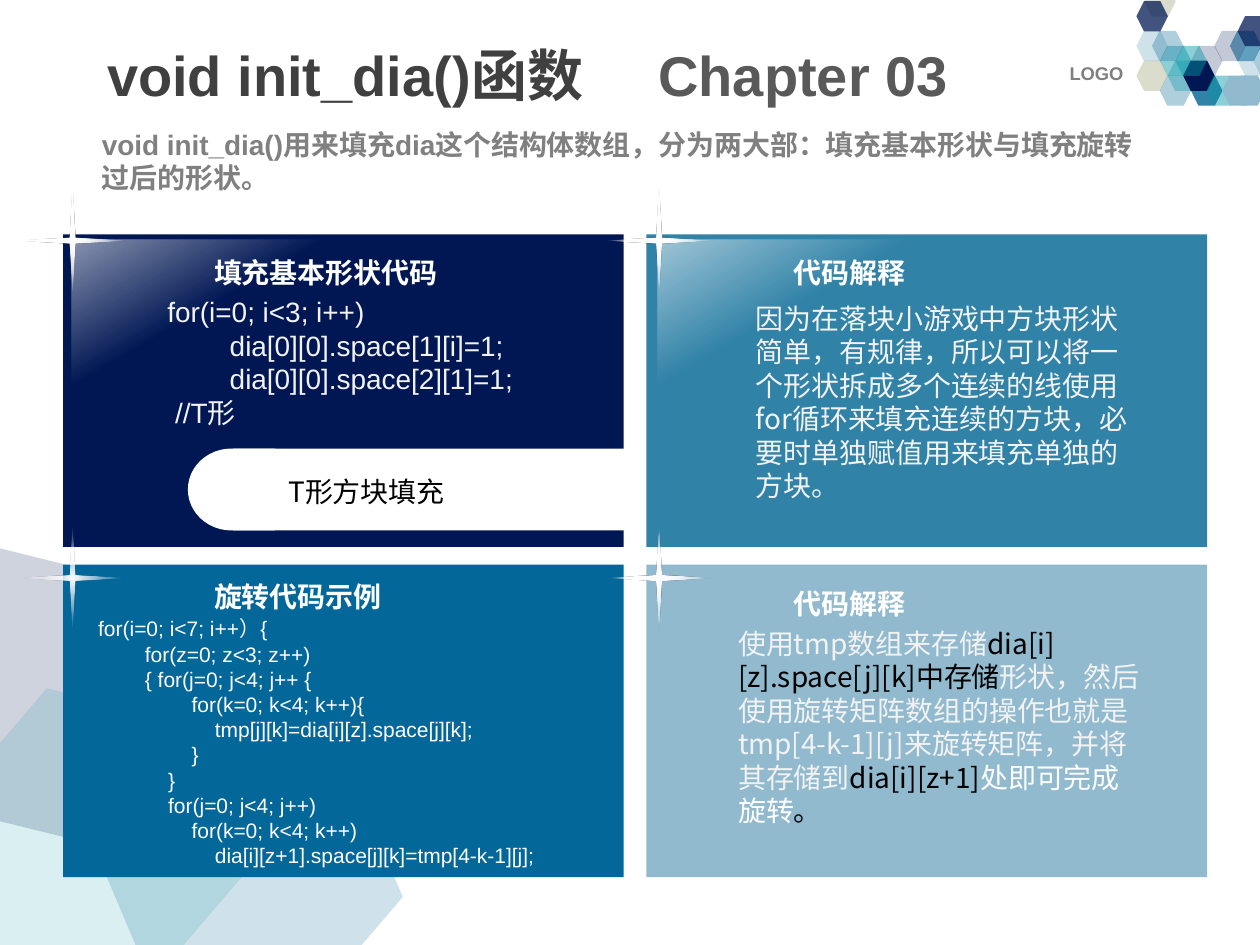
from itertools import product

from lxml import etree
from pptx import Presentation
from pptx.dml.color import RGBColor
from pptx.enum.shapes import MSO_SHAPE
from pptx.enum.text import MSO_ANCHOR, MSO_AUTO_SIZE, PP_ALIGN
from pptx.oxml import parse_xml
from pptx.oxml.ns import nsdecls, qn
from pptx.util import Pt

HEXAGON, RECT = MSO_SHAPE.HEXAGON, MSO_SHAPE.RECTANGLE
STAR, DELAY = MSO_SHAPE.STAR_4_POINT, MSO_SHAPE.FLOWCHART_DELAY
LATIN, CJK = "Arial", "Noto Sans CJK SC"

WHITE = RGBColor(0xFF, 0xFF, 0xFF)
BLACK = RGBColor(0, 0, 0)
PALE = RGBColor(0xF2, 0xF2, 0xF2)
GRAY = RGBColor(0x80, 0x80, 0x80)
DARK = RGBColor(0x40, 0x40, 0x40)
MID = RGBColor(0x59, 0x59, 0x59)
NAVY = RGBColor(0x00, 0x17, 0x53)
BLUE = RGBColor(0x03, 0x67, 0x99)
STEEL = RGBColor(0x30, 0x82, 0xA7)
SKY = RGBColor(0x91, 0xBA, 0xCE)
TEAL = RGBColor(0x07, 0x97, 0xA6)
OLIVE = RGBColor(0xAF, 0xB5, 0x91)

# Corner honeycomb: column, row, colour, opacity in percent
HONEYCOMB = [
    (3, 5, STEEL, 38), (3, 3, TEAL, 46), (7, 5, STEEL, 100), (7, 3, NAVY, 23),
    (4, 4, TEAL, 34), (6, 4, NAVY, 100), (9, 5, TEAL, 46), (12.5, 5, SKY, 100),
    (11, 5, SKY, 100), (13, 3, STEEL, 23), (15, 3, STEEL, 23), (12, 2, BLUE, 54),
    (13, 1, NAVY, 74), (10, 2, NAVY, 23), (5, 3, TEAL, 46), (2, 2, STEEL, 38),
    (1, -1, OLIVE, 46), (0, 4, OLIVE, 46), (0, 2, STEEL, 23), (0, 0, NAVY, 74),
]
# Large hexagons: left, top, colour, opacity
BIG_HEXAGONS = [(-61.2, 319.7, NAVY, 19), (56.9, 419.8, BLUE, 19), (-28.8, 401, TEAL, 15)]

PANEL_X, PANEL_Y, PANEL_SIZE = (36, 369.4), (133.9, 322.6), (320.4, 178.6)
PANEL_COLORS = [NAVY, STEEL, BLUE, SKY]
STAR_X, STAR_Y, STAR_SIZE = (9.7, 344.9), (105.8, 298.4), 63.4
STAR_STOPS = [(0, 100), (66, 0), (100, 0)]
SHINE_STOPS = [(0, 0), (50, 0), (100, 54)]

# Panel headings: left, top, width, text
HEADINGS = [
    (115.2, 142.6, 173.5, "填充基本形状代码"), (446.4, 142.6, 108, "代码解释"),
    (115.2, 327.6, 178.6, "旋转代码示例"), (446.4, 331.9, 108, "代码解释"),
]
# Code lines: indent in space widths, text
BASIC_CODE = [
    (0, "for(i=0; i<3; i++)"), (8, "dia[0][0].space[1][i]=1;"),
    (8, "dia[0][0].space[2][1]=1;"), (1, "//T形"),
]
ROTATE_CODE = [
    (0, "for(i=0; i<7; i++）{"), (8, "for(z=0; z<3; z++)"), (8, "{ for(j=0; j<4; j++ {"),
    (16, "for(k=0; k<4; k++){"), (20, "tmp[j][k]=dia[i][z].space[j][k];"),
    (16, "}"), (12, "}"), (12, "for(j=0; j<4; j++)"), (16, "for(k=0; k<4; k++)"),
    (20, "dia[i][z+1].space[j][k]=tmp[4-k-1][j];"),
]
TITLE = [("void init_dia()函数\t", DARK), ("Chapter 03", MID)]
INTRO = "void init_dia()用来填充dia这个结构体数组，分为两大部：填充基本形状与填充旋转过后的形状。"
BASIC_NOTE = ("因为在落块小游戏中方块形状简单，有规律，所以可以将一个形状拆成多个连续的线使用"
              "for循环来填充连续的方块，必要时单独赋值用来填充单独的方块。")
ROTATE_NOTE = [
    ("使用tmp数组来存储", PALE), ("dia[i][z].space[j][k]中存储", BLACK),
    ("形状，然后使用旋转矩阵数组的操作也就是tmp[4-k-1][j]来旋转矩阵，并将其存储到", PALE),
    ("dia[i][z+1]", BLACK), ("处即可完成旋转", WHITE), ("。", BLACK),
]

prs = Presentation()
prs.slide_width, prs.slide_height = Pt(720), Pt(540)
s = prs.slides.add_slide(prs.slide_layouts[5])


def add_shape(kind, x, y, w, h, color, opacity=100, rotation=0):
    """Add a flat shape without line or shadow."""
    sp = s.shapes.add_shape(kind, Pt(x), Pt(y), Pt(w), Pt(h))
    sp.shadow.inherit = False
    sp.line.fill.background()
    sp.fill.solid()
    sp.fill.fore_color.rgb = color
    sp.rotation = rotation
    if opacity < 100:
        clr = sp._element.spPr.find(".//" + qn("a:srgbClr"))
        etree.SubElement(clr, qn("a:alpha")).set("val", str(opacity * 1000))
    return sp


def fade(sp, stops, direction):
    """Replace the fill with white that varies in opacity."""
    gs = "".join(
        f'<a:gs pos="{pos * 1000}"><a:srgbClr val="{WHITE}"><a:alpha val="{a * 1000}"/>'
        f'</a:srgbClr></a:gs>' for pos, a in stops)
    old = sp._element.spPr.find(qn("a:solidFill"))
    new = parse_xml(f'<a:gradFill {nsdecls("a")} rotWithShape="1"><a:gsLst>{gs}</a:gsLst>'
                    f'{direction}</a:gradFill>')
    old.getparent().replace(old, new)


def add_star(x, y):
    """Add a thin sparkle that fades outwards."""
    sp = add_shape(STAR, x, y, STAR_SIZE, STAR_SIZE, WHITE, rotation=90)
    sp.adjustments[0] = 0.038
    fade(sp, STAR_STOPS, '<a:path path="circle">'
         '<a:fillToRect l="50000" t="50000" r="50000" b="50000"/></a:path>')


def add_run(p, text, size, color, font=LATIN, bold=False):
    """Add one formatted run."""
    r = p.add_run()
    r.text = text
    r.font.size, r.font.bold, r.font.name = Pt(size), bold, font
    r.font.color.rgb = color
    etree.SubElement(r._r.get_or_add_rPr(), qn("a:ea")).set("typeface", CJK)


def add_text(x, y, w, h, runs, size=16, font=CJK, bold=False):
    """Add a wrapped text box of one paragraph and return its frame."""
    tf = s.shapes.add_textbox(Pt(x), Pt(y), Pt(w), Pt(h)).text_frame
    tf.word_wrap, tf.auto_size = True, MSO_AUTO_SIZE.SHAPE_TO_FIT_TEXT
    for text, color in runs:
        add_run(tf.paragraphs[0], text, size, color, font, bold)
    return tf


def add_code(x, y, w, h, lines, size, color):
    """Add code lines, each with its own left indent."""
    tf = add_text(x, y, w, h, [], size)
    for i, (spaces, text) in enumerate(lines):
        p = tf.add_paragraph() if i else tf.paragraphs[0]
        indent = Pt(round(spaces * size * 0.278, 1))
        p._p.get_or_add_pPr().set("marL", str(indent))
        add_run(p, text, size, color)


for col, row, color, opacity in HONEYCOMB:
    add_shape(HEXAGON, 649.4 + 4.45 * col, 0.7 + 8.5 * row, 18, 17.2, color, opacity)
for x, y, color, opacity in BIG_HEXAGONS:
    add_shape(HEXAGON, x, y, 169.2, 154.8, color, opacity, 130.5)
add_text(604.1, 31.7, 46.8, 20.2, [("LOGO", GRAY)], 10.5, LATIN, True)

title = s.shapes.title
title.left, title.top, title.width, title.height = Pt(54), Pt(9.4), Pt(612), Pt(66.2)
tf = title.text_frame
tf.vertical_anchor, tf.auto_size = MSO_ANCHOR.MIDDLE, MSO_AUTO_SIZE.NONE
p = tf.paragraphs[0]
p.alignment = PP_ALIGN.LEFT
tabs = etree.SubElement(p._p.get_or_add_pPr(), qn("a:tabLst"))
etree.SubElement(tabs, qn("a:tab"), pos=str(Pt(315)), algn="l")
for text, color in TITLE:
    add_run(p, text, 32, color, bold=True)
add_text(51.1, 69.1, 614.9, 46.1, [(INTRO, GRAY)], 16, LATIN, True)

for (y, x), color in zip(product(PANEL_Y, PANEL_X), PANEL_COLORS):
    add_shape(RECT, x, y, *PANEL_SIZE, color)

for x in STAR_X:
    add_star(x, STAR_Y[0])
    shine = add_shape(RECT, x + 31, STAR_Y[0] + 31, 146.9, 82.1, WHITE)
    fade(shine, SHINE_STOPS, '<a:lin ang="14400000" scaled="0"/>')
add_star(STAR_X[1], STAR_Y[1])

add_shape(DELAY, 107.3, 256.3, 49.7, 46.8, WHITE, rotation=180)
add_shape(RECT, 133.2, 256.3, 227.5, 46.8, WHITE)
add_text(157.7, 267.8, 175.7, 26.6, [("T形方块填充", BLACK)])

for x, y, w, text in HEADINGS:
    add_text(x, y, w, 26.6, [(text, WHITE)], bold=True)
add_code(88.6, 164.9, 259.2, 85, BASIC_CODE, 16, PALE)
add_code(49, 348.5, 295.9, 152, ROTATE_CODE, 12, WHITE)
add_text(424.8, 168.5, 232.6, 123.8, [(BASIC_NOTE, PALE)])
add_text(414.7, 354.2, 245.5, 123.8, ROTATE_NOTE)

for x, y in product(STAR_X, STAR_Y):
    add_star(x, y)

prs.save("out.pptx")
